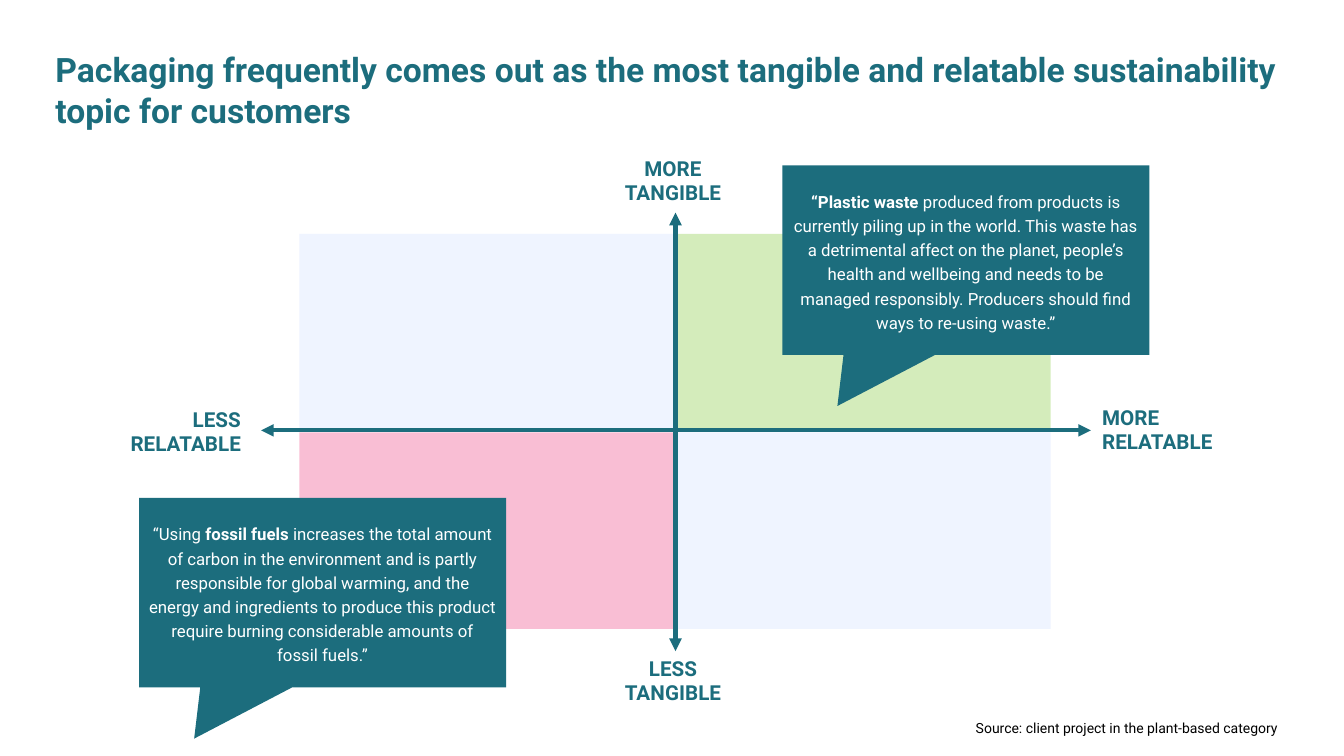
from dataclasses import dataclass
from typing import Any

import lxml.etree
import pptx
import pptx.dml.color
import pptx.enum.shapes
import pptx.enum.text
import pptx.oxml.ns
import pptx.util

qn = pptx.oxml.ns.qn
Align = pptx.enum.text.PP_ALIGN
Anchor = pptx.enum.text.MSO_ANCHOR
Shape = pptx.enum.shapes.MSO_SHAPE

COLORS = {"teal": "1C6D7D", "pink": "F25992", "green": "92D050",
          "blue": "D6E3FF", "white": "FFFFFF", "black": "000000"}

# Text formats
TITLE = {"name": "Roboto", "size": pptx.util.Pt(24), "bold": True, "color": "teal"}
LABEL = {"name": "Roboto", "size": pptx.util.Pt(14.7), "bold": True, "color": "teal"}
QUOTE = {"name": "Roboto", "size": pptx.util.Pt(12), "bold": False, "color": "white"}
STRONG = QUOTE | {"bold": True}
SOURCE = {"name": "Roboto", "size": pptx.util.Pt(10), "color": "black"}

# The slide is a grid of 100 columns by 100 rows
WIDTH, HEIGHT = pptx.util.Inches(13.33), pptx.util.Inches(7.5)


@dataclass
class Box:
    col: float
    row: float
    cols: float
    rows: float

    def emu(self) -> tuple[int, ...]:
        sizes = (WIDTH, HEIGHT, WIDTH, HEIGHT)
        cells = (self.col, self.row, self.cols, self.rows)
        return tuple(round(c * s / 100) for c, s in zip(cells, sizes))


@dataclass
class Quadrant:
    col: int
    row: int
    color: str


@dataclass
class Axis:
    start: tuple[float, float]
    end: tuple[float, float]


@dataclass
class Label:
    box: Box
    lines: list[str]
    align: Any
    first_indent: float = 0


@dataclass
class Callout:
    col: float
    row: float
    runs: list[tuple[str, dict]]


QUADRANTS = [Quadrant(0, 1, "pink"), Quadrant(1, 0, "green"),
             Quadrant(1, 1, "blue"), Quadrant(0, 0, "blue")]

AXES = [Axis((50.26, 28.13), (50.26, 86.13)), Axis((19.43, 56.93), (81.17, 56.93))]

LABELS = [
    Label(Box(82, 53.87, 8.78, 5.87), ["MORE", "RELATABLE"], Align.LEFT),
    Label(Box(42.61, 20.8, 14.93, 6.13), ["MORE", "TANGIBLE"], Align.CENTER),
    Label(Box(42.61, 87.07, 14.93, 5.87), ["LESS", "TANGIBLE"], Align.CENTER),
    Label(Box(9.23, 54.13, 9.45, 5.87), ["LESS", "RELATABLE"], Align.RIGHT, 0.1),
]

CALLOUTS = [
    Callout(10.35, 65.87, [
        ("“Using ", QUOTE), ("fossil fuels ", STRONG),
        ("increases the total amount of carbon in the environment and is partly "
         "responsible for global warming, and the energy and ingredients to produce "
         "this product require burning considerable amounts of fossil fuels.”", QUOTE)]),
    Callout(58.21, 21.87, [
        ("“Plastic waste", STRONG),
        (" produced from products is currently piling up in the world. This waste has "
         "a detrimental affect on the planet, people’s health and wellbeing and needs "
         "to be managed responsibly. Producers should find ways to re-using waste.”",
         QUOTE)]),
]


def rgb(color: str) -> Any:
    return pptx.dml.color.RGBColor.from_string(COLORS[color])


def add_run(p: Any, text: str, fmt: dict) -> None:
    r = p.add_run()
    r.text = text
    for key, value in fmt.items():
        if key == "color":
            r.font.color.rgb = rgb(value)
        else:
            setattr(r.font, key, value)


def frame_text(tf: Any, anchor: Any) -> None:
    settings = {"word_wrap": True, "auto_size": pptx.enum.text.MSO_AUTO_SIZE.NONE,
                "vertical_anchor": anchor, "margin_left": 0, "margin_top": 0,
                "margin_right": 0, "margin_bottom": 0}
    for key, value in settings.items():
        setattr(tf, key, value)


def add_filled(slide: Any, kind: Any, box: Box, color: str) -> Any:
    sp = slide.shapes.add_shape(kind, *box.emu())
    sp.shadow.inherit = False
    sp.fill.solid()
    sp.fill.fore_color.rgb = rgb(color)
    sp.line.fill.background()
    return sp


def add_quadrant(slide: Any, q: Quadrant) -> None:
    box = Box(22.28 + 27.9 * q.col, 30.93 + 26.27 * q.row, 28, 26)
    sp = add_filled(slide, Shape.RECTANGLE, box, q.color)
    clr = sp.fill._xPr.find(".//" + qn("a:srgbClr"))
    lxml.etree.SubElement(clr, qn("a:alpha"), val="39000")


def add_axis(slide: Any, axis: Axis) -> None:
    ends = Box(*axis.start, *axis.end).emu()
    cx = slide.shapes.add_connector(pptx.enum.shapes.MSO_CONNECTOR.STRAIGHT, *ends)
    cx.line.color.rgb = rgb("teal")
    cx.line.width = pptx.util.Pt(3)
    ln = cx.line._get_or_add_ln()
    for tag in ("a:headEnd", "a:tailEnd"):
        lxml.etree.SubElement(ln, qn(tag), type="triangle")
    lxml.etree.SubElement(cx._element.spPr, qn("a:effectLst"))


def add_text(slide: Any, label: Label, fmt: dict, anchor: Any) -> None:
    tf = slide.shapes.add_textbox(*label.box.emu()).text_frame
    frame_text(tf, anchor)
    for i, line in enumerate(label.lines):
        p = tf.add_paragraph() if i else tf.paragraphs[0]
        p.alignment = label.align
        if label.first_indent and not i:
            p._p.get_or_add_pPr().set("marR", str(pptx.util.Inches(label.first_indent)))
        add_run(p, line, fmt)


def add_callout(slide: Any, c: Callout) -> None:
    box = Box(c.col, c.row, 27.31, 25.07)
    sp = add_filled(slide, Shape.RECTANGULAR_CALLOUT, box, "teal")
    sp.adjustments[0], sp.adjustments[1] = -0.35, 0.77
    tf = sp.text_frame
    tf.word_wrap = True
    tf.vertical_anchor = Anchor.MIDDLE
    p = tf.paragraphs[0]
    p.alignment = Align.CENTER
    p.line_spacing = 1.2
    for text, fmt in c.runs:
        add_run(p, text, fmt)


def main() -> None:
    prs = pptx.Presentation()
    prs.slide_width, prs.slide_height = WIDTH, HEIGHT
    slide = prs.slides.add_slide(prs.slide_layouts[5])

    # Title
    title = slide.shapes.title
    title.left, title.top, title.width, title.height = Box(4.13, 6.53, 90.92, 14.13).emu()
    frame_text(title.text_frame, Anchor.TOP)
    p = title.text_frame.paragraphs[0]
    p.alignment = Align.LEFT
    add_run(p, "Packaging frequently comes out as the most tangible and relatable "
               "sustainability topic for customers", TITLE)

    # Matrix with its axes and labels
    for quadrant in QUADRANTS:
        add_quadrant(slide, quadrant)
    for axis in AXES:
        add_axis(slide, axis)
    for label in LABELS:
        add_text(slide, label, LABEL, Anchor.MIDDLE)

    # Customer quotes
    for callout in CALLOUTS:
        add_callout(slide, callout)

    # Source line
    source = Label(Box(6.68, 95.2, 88.37, 3.33),
                   ["Source: client project in the plant-based category"], Align.RIGHT)
    add_text(slide, source, SOURCE, Anchor.TOP)

    prs.save("out.pptx")


if __name__ == "__main__":
    main()
